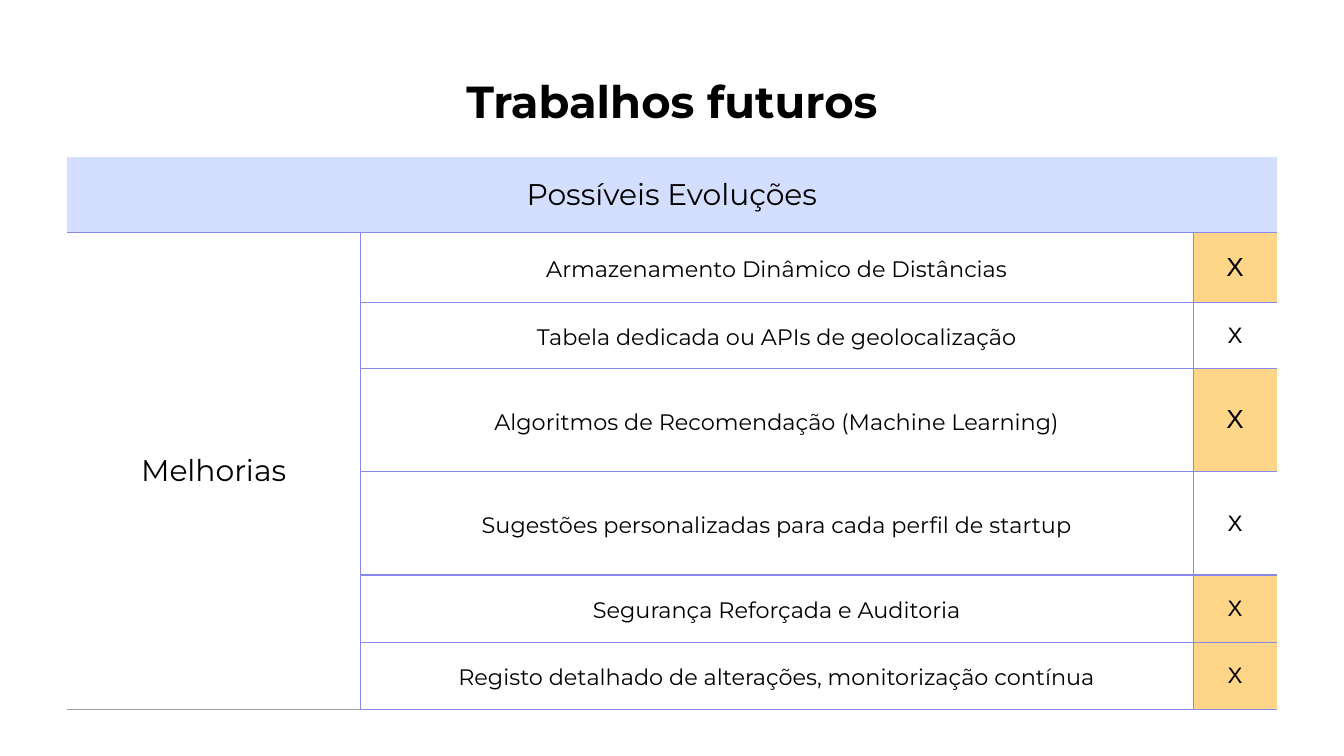
import pptx
import pptx.util
import pptx.dml.color
import pptx.enum.text
import lxml.etree
from dataclasses import dataclass

Inches = pptx.util.Inches
Pt = pptx.util.Pt
A = "{http://schemas.openxmlformats.org/drawingml/2006/main}"


@dataclass(frozen=True)
class Theme:
    ink: str = "000000"
    head: str = "D4DFFF"
    mark: str = "FFD688"
    line: str = "8888EC"
    base: str = "9E9E9E"
    font: str = "Montserrat"
    sign: str = "Arial"
    title: int = 24
    large: int = 16
    medium: int = 14
    small: int = 12


T = Theme()
COLS = (2.18, 6.2, 0.62)
ROWS = (0.56, 0.52, 0.49, 0.77, 0.77, 0.5, 0.5)

# Item, size of its X, whether the X is highlighted
ITEMS = (
    ("Armazenamento Dinâmico de Distâncias", T.medium, True),
    ("Tabela dedicada ou APIs de geolocalização", T.small, False),
    ("Algoritmos de Recomendação (Machine Learning)", T.medium, True),
    ("Sugestões personalizadas para cada perfil de startup", T.small, False),
    ("Segurança Reforçada e Auditoria", T.small, True),
    ("Registo detalhado de alterações, monitorização contínua", T.small, True),
)


def color(value):
    return pptx.dml.color.RGBColor.from_string(value)


def write(frame, text, size, font=T.font, bold=False, space=None):
    par = frame.paragraphs[0]
    par.text = text
    par.alignment = pptx.enum.text.PP_ALIGN.CENTER
    if space:
        par.line_spacing = space
    par.font.name = font
    par.font.size = Pt(size)
    par.font.bold = bold
    par.font.color.rgb = color(T.ink)


def style(cell, edges, fill=None):
    """Draw the given edges (side to colour), hide the rest, then fill."""
    props = cell._tc.get_or_add_tcPr()
    for side in "LRTB":
        line = lxml.etree.SubElement(props, f"{A}ln{side}", w=str(Pt(0.75)))
        if side in edges:
            paint = lxml.etree.SubElement(line, A + "solidFill")
            lxml.etree.SubElement(paint, A + "srgbClr", val=edges[side])
        else:
            lxml.etree.SubElement(line, A + "noFill")
    if fill:
        cell.fill.solid()
        cell.fill.fore_color.rgb = color(fill)
    else:
        cell.fill.background()
    cell.vertical_anchor = pptx.enum.text.MSO_ANCHOR.MIDDLE
    cell.margin_left = cell.margin_right = Inches(0.1)
    cell.margin_top = cell.margin_bottom = Inches(0.1)


def add_title(slide, text):
    box = slide.shapes.add_textbox(
        Inches(0.5), Inches(0.44), Inches(9), Inches(0.61))
    frame = box.text_frame
    frame.word_wrap = True
    frame.margin_left = frame.margin_right = Inches(0.1)
    frame.margin_top = frame.margin_bottom = Inches(0.1)
    frame.vertical_anchor = pptx.enum.text.MSO_ANCHOR.MIDDLE
    write(frame, text, T.title, bold=True)


def add_grid(slide):
    table = slide.shapes.add_table(
        len(ROWS), len(COLS), Inches(0.5), Inches(1.17),
        Inches(sum(COLS)), Inches(sum(ROWS))).table
    table.first_row = table.horz_banding = False
    for col, width in zip(table.columns, COLS):
        col.width = Inches(width)
    for row, height in zip(table.rows, ROWS):
        row.height = Inches(height)

    # Header across all columns
    for col in range(len(COLS)):
        style(table.cell(0, col), {"B": T.line}, T.head)
    head = table.cell(0, 0)
    head.merge(table.cell(0, len(COLS) - 1))
    write(head.text_frame, "Possíveis Evoluções", T.large)

    # Side label down all items
    last = len(ITEMS)
    for row in range(1, last + 1):
        style(table.cell(row, 0), {"T": T.line, "R": T.line, "B": T.base})
    side = table.cell(1, 0)
    side.merge(table.cell(last, 0))
    write(side.text_frame, "Melhorias", T.large)

    # Items and their marks
    for row, (text, size, lit) in enumerate(ITEMS, 1):
        item, mark = table.cell(row, 1), table.cell(row, 2)
        style(item, dict.fromkeys("LRTB", T.line))
        write(item.text_frame, text, T.small, space=1.15)
        style(mark, dict.fromkeys("LTB", T.line), T.mark if lit else None)
        write(mark.text_frame, "X", size, T.sign)


def main():
    deck = pptx.Presentation()
    # Widescreen, 16 to 9
    deck.slide_width = Inches(10)
    deck.slide_height = Inches(10 * 9 / 16)
    slide = deck.slides.add_slide(deck.slide_layouts[6])
    add_title(slide, "Trabalhos futuros")
    add_grid(slide)
    deck.save("out.pptx")


if __name__ == "__main__":
    main()
